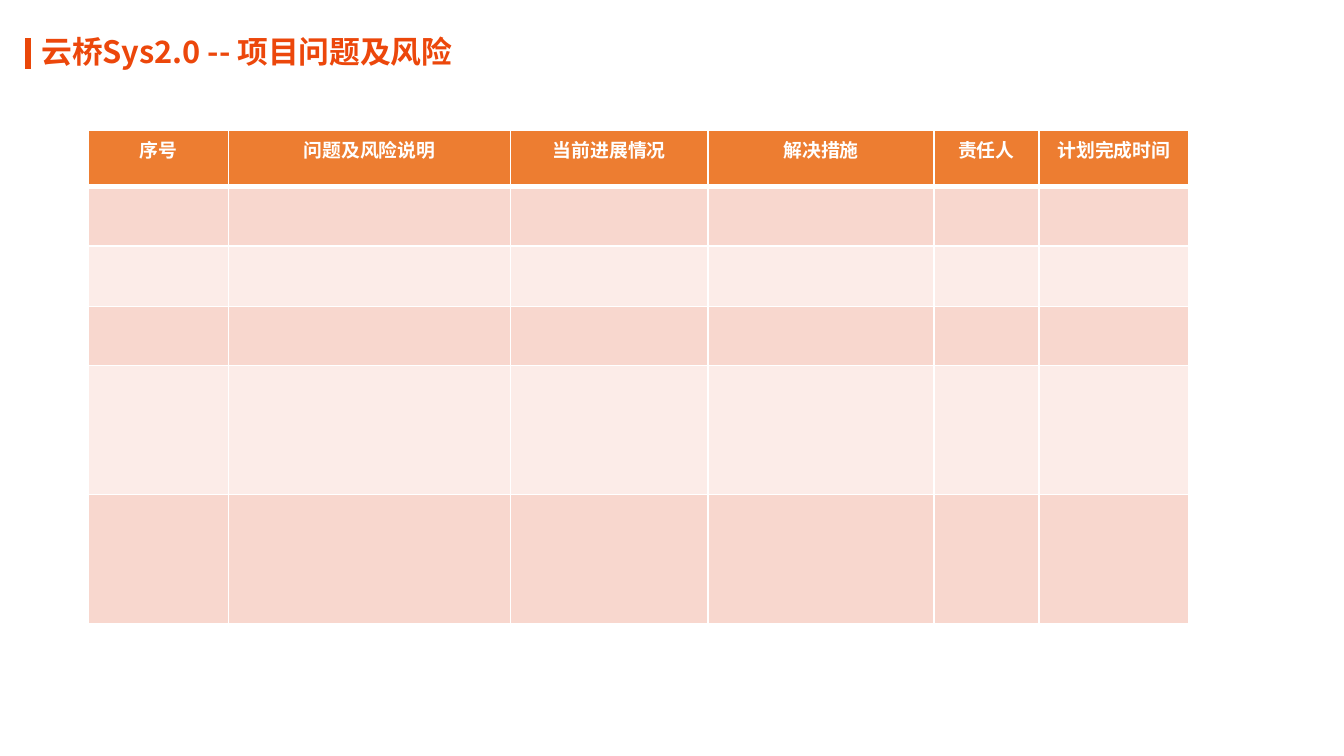
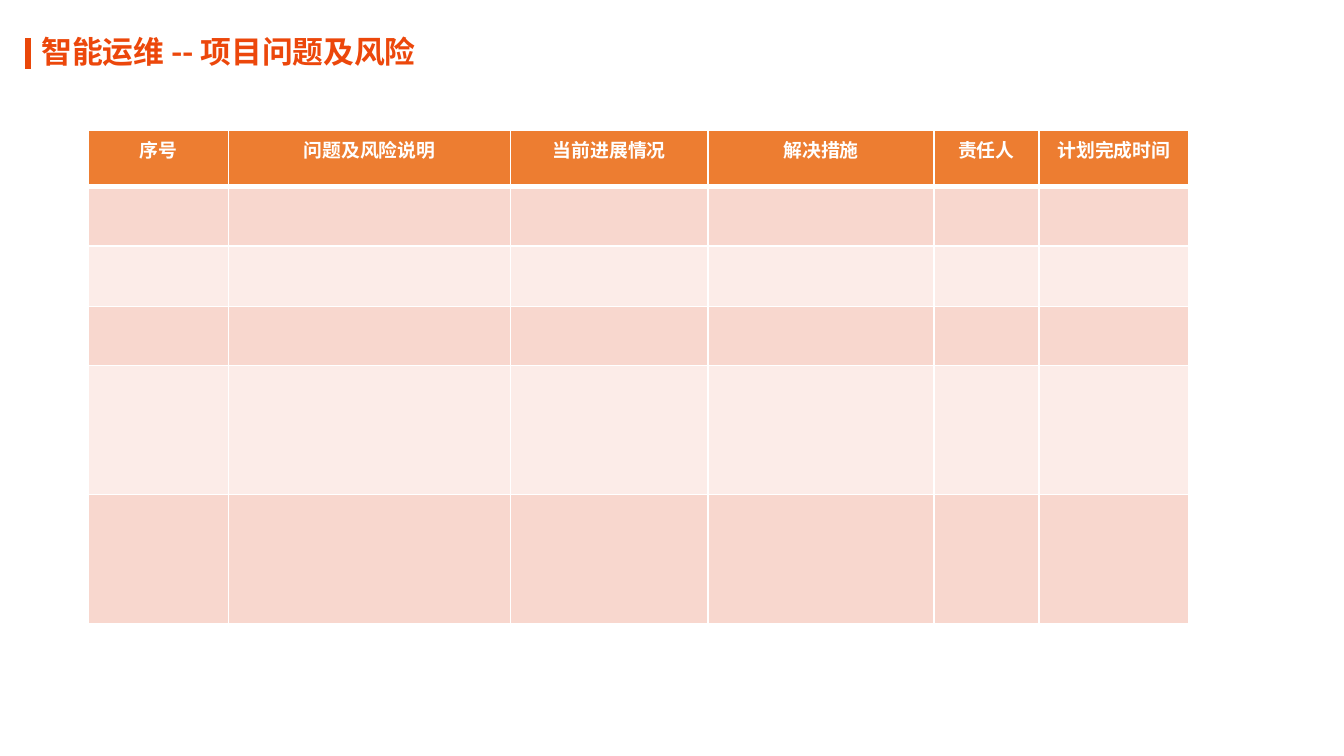
"""Build two project issue and risk slides."""
from lxml import etree
from pptx import Presentation
from pptx.dml.color import RGBColor
from pptx.enum.shapes import MSO_CONNECTOR
from pptx.enum.text import MSO_ANCHOR, PP_ALIGN
from pptx.oxml.ns import qn
from pptx.util import Inches, Pt

STRAIGHT = MSO_CONNECTOR.STRAIGHT
MIDDLE = MSO_ANCHOR.MIDDLE
CENTER = PP_ALIGN.CENTER

CJK_FONT = "Noto Sans CJK SC"
TABLE_FONT = "Calibri"
ACCENT = "E94709"
TITLE_COLOR = "EC470B"
HEADER_FILL = "ED7D31"
BAND_FILLS = ("FCECE8", "F8D7CE")
WHITE = "FFFFFF"

SLIDE_WIDTH = Inches(10)
SLIDE_HEIGHT = SLIDE_WIDTH * 9 // 16
TITLE_BOX = (0.21, 0.14, 9.58, 0.52)
TABLE_BOX = (0.66, 0.97, 8.19, 3.67)
HEADERS = ("序号", "问题及风险说明", "当前进展情况", "解决措施", "责任人", "计划完成时间")
COLUMN_WIDTHS = (1.04, 2.1, 1.47, 1.68, 0.78, 1.12)
ROW_HEIGHTS = (0.42, 0.44, 0.45, 0.44, 0.96, 0.96)
TITLES = ("云桥Sys2.0 -- 项目问题及风险", "智能运维 -- 项目问题及风险")


def color(value):
    """Return the colour for a hex string."""
    return RGBColor.from_string(value)


def add_run(paragraph, text, font_name, size, hex_color):
    """Add one bold run to a paragraph."""
    run = paragraph.add_run()
    run.text = text
    run.font.name = font_name
    run.font.size = Pt(size)
    run.font.bold = True
    run.font.color.rgb = color(hex_color)
    east_asian = etree.SubElement(run.font._element, qn("a:ea"))
    east_asian.set("typeface", CJK_FONT)


def add_title(slide, box, text):
    """Add the title with the accent bar at its left edge."""
    left, top, width, height = box
    bar = slide.shapes.add_connector(
        STRAIGHT, Inches(left), Inches(top + 0.37), Inches(left), Inches(top + 0.14))
    bar.line.color.rgb = color(ACCENT)
    bar.line.width = Pt(3)
    etree.SubElement(bar._element.spPr, qn("a:effectLst"))

    title = slide.shapes.add_textbox(*map(Inches, box))
    frame = title.text_frame
    frame.word_wrap = True
    frame.vertical_anchor = MIDDLE
    paragraph = frame.paragraphs[0]
    paragraph.line_spacing = 0.9
    add_run(paragraph, text, CJK_FONT, 16.5, TITLE_COLOR)


def set_borders(cell, widths):
    """Draw white cell borders with the given widths in points."""
    properties = cell._tc.get_or_add_tcPr()
    for index, (side, width) in enumerate(widths.items()):
        line = etree.Element(qn(f"a:ln{side}"), w=str(Pt(width)))
        fill = etree.SubElement(line, qn("a:solidFill"))
        etree.SubElement(fill, qn("a:srgbClr"), val=WHITE)
        properties.insert(index, line)


def add_risk_table(slide, box):
    """Add the risk table with its header and banded empty rows."""
    table = slide.shapes.add_table(
        len(ROW_HEIGHTS), len(COLUMN_WIDTHS), *map(Inches, box)).table
    for column, width in zip(table.columns, COLUMN_WIDTHS):
        column.width = Inches(width)
    for row_index, (row, height) in enumerate(zip(table.rows, ROW_HEIGHTS)):
        row.height = Inches(height)
        for cell, header in zip(row.cells, HEADERS):
            cell.margin_left = cell.margin_right = Inches(0.07)
            cell.margin_top = cell.margin_bottom = Inches(0.04)
            cell.fill.solid()
            cell.fill.fore_color.rgb = color(
                BAND_FILLS[row_index % 2] if row_index else HEADER_FILL)
            set_borders(cell, {"L": 1, "R": 1,
                               "T": 3 if row_index == 1 else 1,
                               "B": 3 if row_index == 0 else 1})
            if row_index == 0:
                paragraph = cell.text_frame.paragraphs[0]
                paragraph.alignment = CENTER
                add_run(paragraph, header, TABLE_FONT, 10.1, WHITE)


def add_risk_slide(presentation, title):
    """Add one slide with a title and a risk table."""
    slide = presentation.slides.add_slide(presentation.slide_layouts[6])
    add_title(slide, TITLE_BOX, title)
    add_risk_table(slide, TABLE_BOX)


def main():
    """Build and save the presentation."""
    presentation = Presentation()
    presentation.slide_width = SLIDE_WIDTH
    presentation.slide_height = SLIDE_HEIGHT
    for title in TITLES:
        add_risk_slide(presentation, title)
    presentation.save("out.pptx")


if __name__ == "__main__":
    main()
